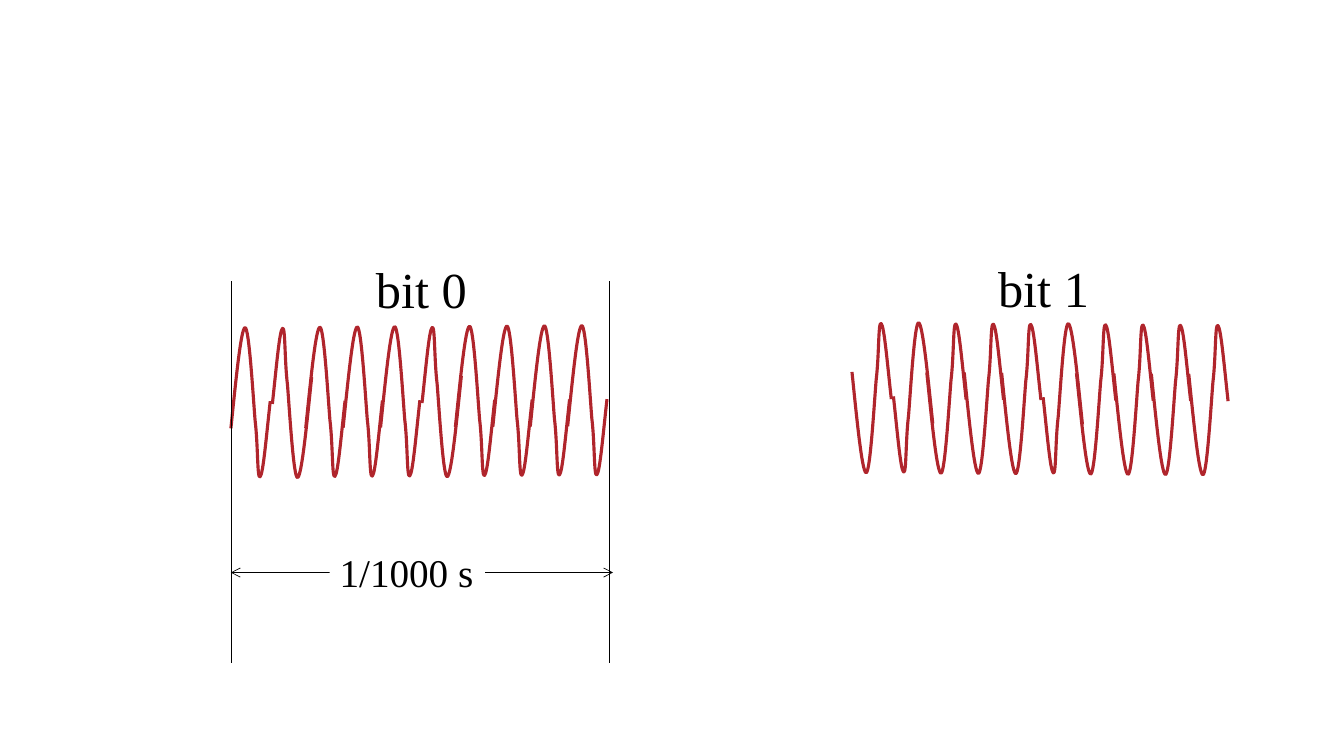
from lxml.etree import SubElement
from pptx import Presentation
from pptx.dml.color import RGBColor
from pptx.enum.shapes import MSO_CONNECTOR, MSO_SHAPE
from pptx.enum.text import MSO_ANCHOR, MSO_AUTO_SIZE, PP_ALIGN
from pptx.oxml.ns import qn
from pptx.util import Inches, Pt

COLORS = {"wave": "B0252C", "ink": "000000", "paper": "FFFFFF"}
FONT = "Times New Roman"
SLIDE_WIDTH, SLIDE_HEIGHT = 13.33, 7.5

WAVES = [
    {"name": "bit 0", "left": 2.29, "start": 4.25, "direction": 1},
    {"name": "bit 1", "left": 8.45, "start": 3.69, "direction": -1},
]
CYCLES = 10
DRAW_ORDER = (0, 2, 3, 1, 4, 6, 7, 5, 8, 9)
TURNED_CYCLES = (1, 5)
PITCH = 3.34 / (CYCLES - 1)
DRIFT = -0.02 / (CYCLES - 1)
TURNED_START = (0.43, -0.51)
CYCLE_CURVES = [
    [(0.05, -0.49), (0.10, -0.99), (0.14, -1.00)],
    [(0.18, -1.01), (0.22, -0.32), (0.24, -0.08)],
    [(0.27, 0.17), (0.26, 0.51), (0.29, 0.48)],
    [(0.32, 0.45), (0.35, 0.09), (0.39, -0.27)],
]

LABELS = [
    ("bit 0", 36, (3.63, 2.51, 1.11, 0.71), None),
    ("bit 1", 36, (9.80, 2.50, 1.11, 0.71), None),
    ("1/1000 s", 28, (3.27, 5.39, 1.54, 0.57), "paper"),
]
PERIOD_LEFT, PERIOD_RIGHT, ARROW_RIGHT = 2.29, 6.04, 6.08
MARK_TOP, MARK_BOTTOM, ARROW_Y = 2.79, 6.58, 5.68
RULES = [
    ((PERIOD_LEFT, MARK_TOP), (PERIOD_LEFT, MARK_BOTTOM), False),
    ((PERIOD_RIGHT, MARK_TOP), (PERIOD_RIGHT, MARK_BOTTOM), False),
    ((PERIOD_LEFT, ARROW_Y), (ARROW_RIGHT, ARROW_Y), True),
]


def color(name):
    return RGBColor.from_string(COLORS[name])


def curve_shape(shapes, start, curves):
    builder = shapes.build_freeform(*start)
    builder.add_line_segments([curve[-1] for curve in curves], close=False)
    shape = builder.convert_to_shape()
    segments = list(shape.element.spPr.iter(qn("a:lnTo")))
    for segment, curve in zip(segments, curves):
        bend = SubElement(segment.getparent(), qn("a:cubicBezTo"))
        for x, y in curve:
            SubElement(bend, qn("a:pt"), x=str(x - shape.left), y=str(y - shape.top))
        segment.getparent().remove(segment)
    return shape


def draw_wave(page, wave):
    group = page.shapes.add_group_shape()
    for index in DRAW_ORDER:
        across, down = 1, wave["direction"]
        x = wave["left"] + index * PITCH
        y = wave["start"] + index * DRIFT * down
        if index in TURNED_CYCLES:
            x += TURNED_START[0]
            y += TURNED_START[1] * down
            across, down = -across, -down
        curves = [
            [(Inches(x + across * dx), Inches(y + down * dy)) for dx, dy in curve]
            for curve in CYCLE_CURVES
        ]
        cycle = curve_shape(group.shapes, (Inches(x), Inches(y)), curves)
        cycle.name = f"{wave['name']} cycle {index + 1}"
        cycle.shadow.inherit = False
        cycle.fill.background()
        cycle.line.color.rgb = color("wave")
        cycle.line.width = Pt(2.25)


def draw_rule(page, start, end, arrows):
    rule = page.shapes.add_connector(MSO_CONNECTOR.STRAIGHT, *map(Inches, start + end))
    rule.line.color.rgb = color("ink")
    rule.line.width = Pt(0.5)
    properties = rule.element.spPr
    SubElement(properties, qn("a:effectLst"))
    if arrows:
        for tag in ("a:headEnd", "a:tailEnd"):
            SubElement(properties.find(qn("a:ln")), qn(tag), type="arrow")


def draw_label(page, text, size, place, fill):
    place = map(Inches, place)
    if fill:
        box = page.shapes.add_shape(MSO_SHAPE.RECTANGLE, *place)
        box.shadow.inherit = False
        box.fill.solid()
        box.fill.fore_color.rgb = color(fill)
        box.line.fill.background()
    else:
        box = page.shapes.add_textbox(*place)
    frame = box.text_frame
    frame.word_wrap = False
    frame.auto_size = MSO_AUTO_SIZE.SHAPE_TO_FIT_TEXT
    frame.vertical_anchor = MSO_ANCHOR.TOP
    para = frame.paragraphs[0]
    para.alignment = PP_ALIGN.LEFT
    span = para.add_run()
    span.text = text
    span.font.name = FONT
    span.font.size = Pt(size)
    span.font.color.rgb = color("ink")


def main():
    deck = Presentation()
    deck.slide_width, deck.slide_height = Inches(SLIDE_WIDTH), Inches(SLIDE_HEIGHT)
    page = deck.slides.add_slide(deck.slide_layouts[6])
    for wave in WAVES:
        draw_wave(page, wave)
    for label in LABELS[:2]:
        draw_label(page, *label)
    for rule in RULES:
        draw_rule(page, *rule)
    draw_label(page, *LABELS[2])
    deck.save("out.pptx")


if __name__ == "__main__":
    main()
